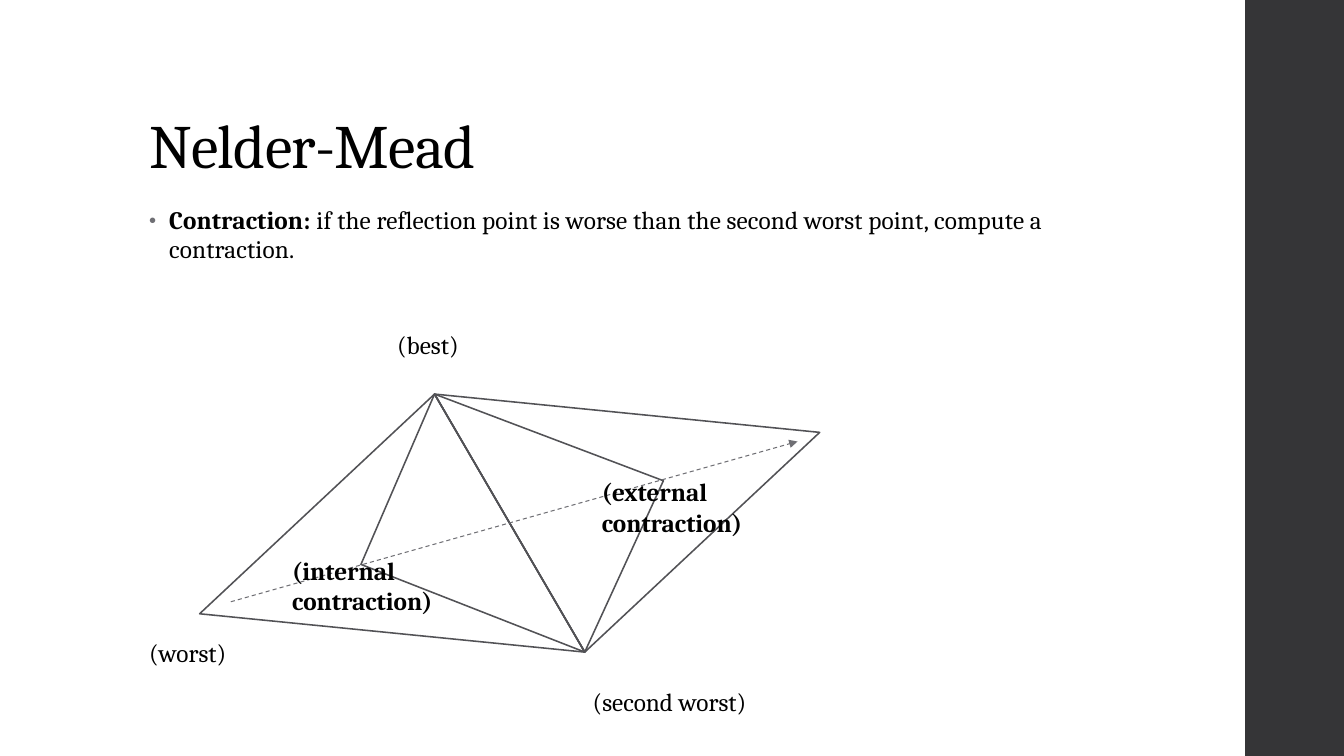
import pptx
import pptx.dml.color
import pptx.enum.dml
import pptx.enum.shapes
import pptx.enum.text
import pptx.oxml.ns
import pptx.util
from lxml import etree

WIDTH, HEIGHT = 13.33, 7.5
LEFT = 1.38
FONT, BLACK, EDGE, GREY, BAR = "Cambria", "000000", "525256", "6F6F74", "353537"

TITLE = "Nelder-Mead"
BODY = [
    ("Contraction: ", True),
    ("if the reflection point is worse than the second worst point, compute a contraction.", False),
]

# Simplex points in inches; the reflection mirrors the worst point through the opposite edge.
BEST, WORST, SECOND = (4.31, 3.91), (1.98, 6.09), (5.8, 6.47)
REFLECTION = tuple(b + s - w for b, s, w in zip(BEST, SECOND, WORST))
INTERNAL, EXTERNAL = (3.58, 5.6), (6.58, 4.77)
APEXES = [WORST, REFLECTION, INTERNAL, EXTERNAL]
ARROW = (2.29, 5.97), (7.91, 4.38)

# text, left, top, width, height, bold
LABELS = [
    ("(worst)", LEFT, 6.27, 1.09, 0.4, False),
    ("(best)", 3.84, 3.22, 1.09, 0.4, False),
    ("(second worst)", 5.78, 6.76, 2.13, 0.4, False),
    ("(internal contraction)", 2.8, 5.46, 2.13, 0.71, True),
    ("(external contraction)", 5.87, 4.68, 1.89, 0.71, True),
]


def color(hex_code):
    return pptx.dml.color.RGBColor.from_string(hex_code)


def inches(*lengths):
    return [pptx.util.Inches(length) for length in lengths]


def add_element(parent, tag, **attributes):
    return etree.SubElement(parent, pptx.oxml.ns.qn(tag), attributes)


def format_run(run, size, bold=False, spacing=0):
    """Apply the slide's font; spacing is in hundredths of a point."""
    run.font.name = FONT
    run.font.size = pptx.util.Pt(size)
    run.font.bold = bold
    run.font.color.rgb = color(BLACK)
    if spacing:
        run.font._element.set("spc", str(spacing))


def add_bar(slide):
    shape = slide.shapes.add_shape(
        pptx.enum.shapes.MSO_SHAPE.RECTANGLE, *inches(12.35, 0, WIDTH - 12.35, HEIGHT))
    shape.shadow.inherit = False
    shape.fill.solid()
    shape.fill.fore_color.rgb = color(BAR)
    shape.line.fill.background()


def set_title(slide):
    title = slide.shapes.title
    title.left, title.top, title.width, title.height = inches(LEFT, 0.4, 10.6, 1.45)
    frame = title.text_frame
    frame.text = TITLE
    frame.word_wrap = True
    frame.vertical_anchor = pptx.enum.text.MSO_ANCHOR.BOTTOM
    paragraph = frame.paragraphs[0]
    paragraph.alignment = pptx.enum.text.PP_ALIGN.LEFT
    paragraph.line_spacing = 0.9
    format_run(paragraph.runs[0], 44, spacing=-50)


def add_text_box(slide, *box):
    frame = slide.shapes.add_textbox(*inches(*box)).text_frame
    frame.word_wrap = True
    return frame


def add_body(slide):
    paragraph = add_text_box(slide, LEFT, 2, 9.4, 4.76).paragraphs[0]
    paragraph.line_spacing = 0.95
    paragraph.space_after = pptx.util.Pt(2)
    properties = paragraph._p.get_or_add_pPr()
    indent = pptx.util.Inches(0.2)
    properties.set("marL", str(indent))
    properties.set("indent", str(-indent))
    add_element(add_element(properties, "a:buClr"), "a:srgbClr", val=GREY)
    add_element(properties, "a:buSzPct", val="80000")
    add_element(properties, "a:buFont", typeface="Arial")
    add_element(properties, "a:buChar", char="•")
    for text, bold in BODY:
        run = paragraph.add_run()
        run.text = text
        format_run(run, 18, bold, spacing=10)


def add_triangle(slide, apex):
    """Join an apex to the edge between the best and second worst points."""
    best, corner, second = (inches(*point) for point in (BEST, apex, SECOND))
    builder = slide.shapes.build_freeform(*best)
    builder.add_line_segments([corner, second], close=True)
    shape = builder.convert_to_shape()
    shape.shadow.inherit = False
    shape.fill.background()
    shape.line.color.rgb = color(EDGE)
    shape.line.width = pptx.util.Pt(1.1)


def add_reflection_arrow(slide):
    start, end = ARROW
    connector = slide.shapes.add_connector(
        pptx.enum.shapes.MSO_CONNECTOR.STRAIGHT, *inches(*start, *end))
    connector.line.color.rgb = color(GREY)
    connector.line.width = pptx.util.Pt(0.75)
    connector.line.dash_style = pptx.enum.dml.MSO_LINE.DASH
    add_element(connector.line._get_or_add_ln(), "a:tailEnd", type="triangle")
    add_element(connector._element.spPr, "a:effectLst")


def add_label(slide, text, left, top, width, height, bold):
    frame = add_text_box(slide, left, top, width, height)
    frame.text = text
    format_run(frame.paragraphs[0].runs[0], 18, bold)


def main():
    presentation = pptx.Presentation()
    presentation.slide_width, presentation.slide_height = inches(WIDTH, HEIGHT)
    slide = presentation.slides.add_slide(presentation.slide_layouts[5])
    add_bar(slide)
    set_title(slide)
    add_body(slide)
    for apex in APEXES:
        add_triangle(slide, apex)
    add_reflection_arrow(slide)
    for label in LABELS:
        add_label(slide, *label)
    presentation.save("out.pptx")


if __name__ == "__main__":
    main()
